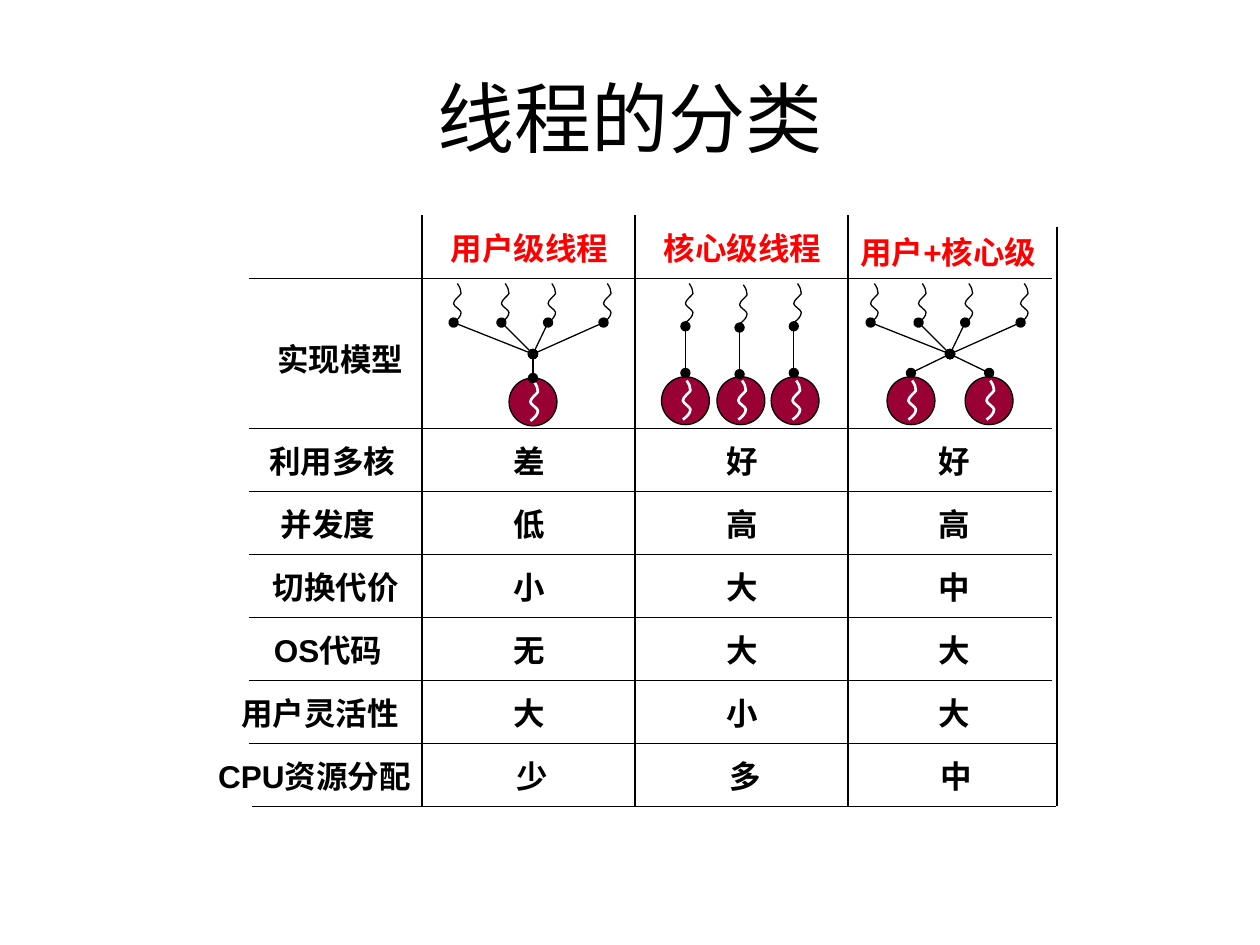
from lxml import etree
from pptx import Presentation
from pptx.dml.color import RGBColor
from pptx.enum.shapes import MSO_CONNECTOR, MSO_SHAPE
from pptx.enum.text import MSO_ANCHOR, PP_ALIGN
from pptx.oxml.ns import qn
from pptx.util import Inches, Pt

STRAIGHT = MSO_CONNECTOR.STRAIGHT
OVAL = MSO_SHAPE.OVAL
MIDDLE, TOP = MSO_ANCHOR.MIDDLE, MSO_ANCHOR.TOP
CENTER, LEFT = PP_ALIGN.CENTER, PP_ALIGN.LEFT

COLORS = {"ink": "000000", "heading": "FF0000", "process": "990033", "white": "FFFFFF"}
CJK_FONT = "Noto Sans CJK SC"
WAVE_START = (0.03, 0)
WAVE_CURVES = [
    (0.05, 0.03), (0.06, 0.05), (0.06, 0.08),
    (0.05, 0.10), (0, 0.13), (0, 0.16),
    (0, 0.18), (0.06, 0.21), (0.06, 0.23),
    (0.06, 0.26), (0.03, 0.29), (0, 0.31),
]

HEADINGS = [("用户级线程", 3.48, 1.77, 1.56), ("核心级线程", 5.17, 1.77, 1.56),
            ("用户+核心级", 6.73, 1.8, 2.06)]
ROWS = [
    ("利用多核", 2.04, 1.5, LEFT, "差好好"),
    ("并发度", 2.13, 1.06, LEFT, "低高高"),
    ("切换代价", 1.98, 1.37, CENTER, "小大中"),
    ("OS代码", 1.74, 1.73, CENTER, "无大大"),
    ("用户灵活性", 1.79, 1.5, CENTER, "大小大"),
    ("CPU资源分配", 1.59, 1.81, CENTER, "少多中"),
]
ROW_TOP, ROW_HEIGHT = 3.4, 0.5
VALUE_LEFTS = [3.98, 5.67, 7.35]
BRANCH_OFFSETS = [0, 0.38, 0.75, 1.19]
KERNEL_THREADS = [(5.44, 5.44, 0), (5.87, 5.88, 0.01), (6.3, 6.31, 0)]


def color(name):
    return RGBColor.from_string(COLORS[name])


class ThreadSlide:
    """Draws styled elements on the current slide."""

    def __init__(self, slide):
        self.shapes = slide.shapes

    def text(self, words, left, top, width, height=0.4, align=LEFT, ink="ink",
             size=18, font="Arial", bold=True, anchor=TOP):
        frame = self.shapes.add_textbox(
            Inches(left), Inches(top), Inches(width), Inches(height)).text_frame
        frame.word_wrap = True
        frame.vertical_anchor = anchor
        paragraph = frame.paragraphs[0]
        paragraph.text = words
        paragraph.alignment = align
        paragraph.font.size = Pt(size)
        paragraph.font.bold = bold
        paragraph.font.color.rgb = color(ink)
        paragraph.font.name = font
        properties = paragraph._p.pPr.find(qn("a:defRPr"))
        etree.SubElement(properties, qn("a:ea"), typeface=CJK_FONT)

    def line(self, start, end, dots=False):
        connector = self.shapes.add_connector(
            STRAIGHT, *(Inches(value) for value in (*start, *end)))
        connector.line.color.rgb = color("ink")
        connector.line.width = Pt(0.75)
        if dots:
            outline = connector.line._get_or_add_ln()
            for tag in ("a:headEnd", "a:tailEnd"):
                etree.SubElement(outline, qn(tag), type="oval")
        etree.SubElement(connector._element.spPr, qn("a:effectLst"))

    def wave(self, left, top, ink="ink", width=0.75):
        first, *others = [(Inches(left + x), Inches(top + y))
                          for x, y in (WAVE_START, *WAVE_CURVES)]
        builder = self.shapes.build_freeform(*first)
        builder.add_line_segments(others, close=False)
        shape = builder.convert_to_shape()
        segments = list(shape._element.iter(qn("a:lnTo")))
        for index in range(0, len(segments), 3):
            curve = etree.SubElement(segments[index].getparent(), qn("a:cubicBezTo"))
            for segment in segments[index:index + 3]:
                curve.append(segment[0])
                segment.getparent().remove(segment)
        shape.shadow.inherit = False
        shape.fill.background()
        shape.line.color.rgb = color(ink)
        shape.line.width = Pt(width)

    def process(self, center, top):
        shape = self.shapes.add_shape(
            OVAL, Inches(center - 0.19), Inches(top), Inches(0.38), Inches(0.38))
        shape.shadow.inherit = False
        shape.fill.solid()
        shape.fill.fore_color.rgb = color("process")
        shape.line.color.rgb = color("ink")
        shape.line.width = Pt(0.75)
        self.wave(center - 0.02, top + 0.03, "white", 1.5)

    def branches(self, left, hub):
        for offset in BRANCH_OFFSETS:
            self.wave(left + offset, 2.25)
            self.line((left + offset, 2.56), hub, dots=True)


def draw_grid(slide):
    for y in (2.21, *(ROW_TOP + ROW_HEIGHT * row for row in range(6))):
        slide.line((1.98, y), (8.35, y))
    for y in (5.9, 6.4):
        slide.line((2, y), (8.38, y))
    for x, top in ((3.35, 1.71), (5.04, 1.71), (6.73, 1.71), (8.39, 1.8)):
        slide.line((x, top), (x, 6.4))


def draw_words(slide):
    for words, left, top, width in HEADINGS:
        slide.text(words, left, top, width, ink="heading")
    slide.text("实现模型", 2.1, 2.65, 1.35)
    for index, (label, left, width, align, values) in enumerate(ROWS):
        top = ROW_TOP + 0.06 + ROW_HEIGHT * index
        slide.text(label, left, top, width, align=align)
        shift = 0.02 if index == len(ROWS) - 1 else 0
        for value, value_left in zip(values, VALUE_LEFTS):
            slide.text(value, value_left + shift, top, 0.44)


def draw_models(slide):
    user_hub, mixed_hub = (4.23, 2.81), (7.54, 2.81)
    slide.process(4.23, 3)
    slide.branches(3.6, user_hub)
    slide.line(user_hub, (4.23, 3), dots=True)

    for x, center, drop in KERNEL_THREADS:
        slide.process(center, 2.99)
        slide.wave(x, 2.25 + drop)
        slide.line((x, 2.59 + drop), (x, 2.96 + drop), dots=True)

    slide.branches(6.91, mixed_hub)
    for x in (7.23, 7.85):
        slide.process(x, 2.99)
        slide.line(mixed_hub, (x, 2.96), dots=True)


def main():
    presentation = Presentation()
    presentation.slide_width, presentation.slide_height = Inches(10), Inches(7.5)
    slide = ThreadSlide(presentation.slides.add_slide(presentation.slide_layouts[6]))
    slide.text("线程的分类", 0.5, 0.3, 9, 1.25, align=CENTER, size=44,
               font=CJK_FONT, bold=False, anchor=MIDDLE)
    draw_grid(slide)
    draw_words(slide)
    draw_models(slide)
    presentation.save("out.pptx")


if __name__ == "__main__":
    main()
